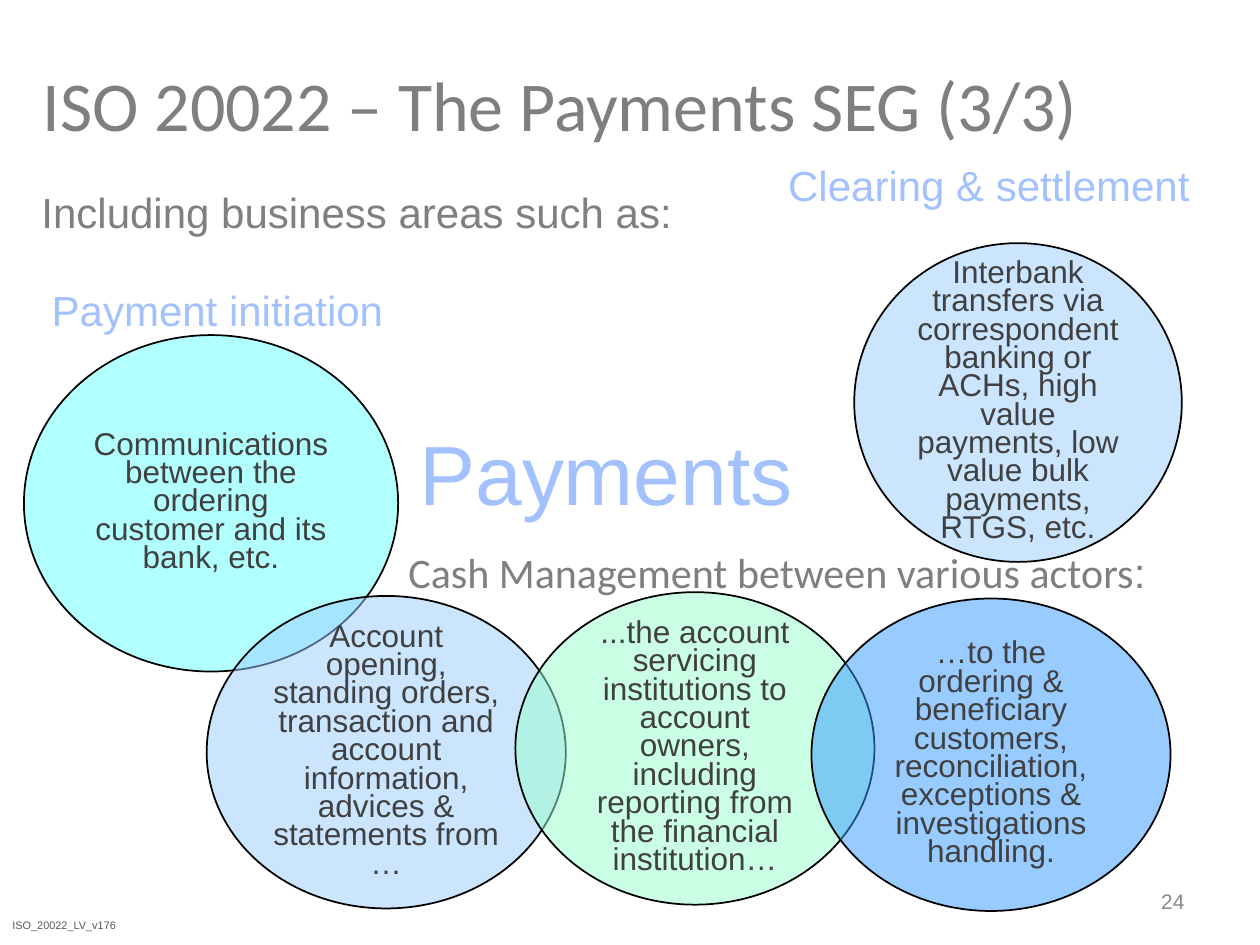
import pptx
import pptx.util
import pptx.dml.color
import pptx.enum.shapes
import pptx.enum.text
import pptx.oxml
import pptx.oxml.ns

WIDTH, HEIGHT = pptx.util.Inches(10), pptx.util.Inches(7.5)
COLUMN, ROW = WIDTH / 100, HEIGHT / 75
ALIGN = pptx.enum.text.PP_ALIGN
ANCHOR = pptx.enum.text.MSO_ANCHOR
COLORS = {
    "heading": "7F7F7F",
    "area": "A2C1FE",
    "detail": "404040",
    "footer": "595959",
    "number": "898989",
    "outline": "000000",
    "cyan": "66FFFF",
    "sky": "99CCFF",
    "mint": "99FFCC",
    "blue": "3399FF",
}


def rgb(name):
    """Return the named colour."""
    return pptx.dml.color.RGBColor.from_string(COLORS[name])


def cells(left, top, columns, rows):
    """Turn a grid area into left, top, width and height."""
    return (round(left * COLUMN), round(top * ROW),
            round(columns * COLUMN), round(rows * ROW))


def add_run(paragraph, text, size, color, font="Arial"):
    """Append one formatted run."""
    run = paragraph.add_run()
    run.text = text
    run.font.size = pptx.util.Pt(size)
    run.font.name = font
    run.font.color.rgb = rgb(color)


def set_title(slide, text, area):
    """Fill and place the title placeholder."""
    title = slide.shapes.title
    title.left, title.top, title.width, title.height = cells(*area)
    title.text_frame.vertical_anchor = ANCHOR.MIDDLE
    paragraph = title.text_frame.paragraphs[0]
    paragraph.alignment = ALIGN.CENTER
    add_run(paragraph, text, 40, "heading", "Calibri")


def add_label(slide, area, runs, size, color, align=ALIGN.RIGHT):
    """Add a one-line label that grows with its text."""
    frame = slide.shapes.add_textbox(*cells(*area)).text_frame
    frame.word_wrap = False
    frame.auto_size = pptx.enum.text.MSO_AUTO_SIZE.SHAPE_TO_FIT_TEXT
    paragraph = frame.paragraphs[0]
    paragraph.alignment = align
    for text, font in runs:
        add_run(paragraph, text, size, color, font)


def add_margin_note(slide, area, text, size, color, align, spacing=1.0):
    """Add a small wrapped note at the foot of the slide."""
    frame = slide.shapes.add_textbox(*cells(*area)).text_frame
    frame.word_wrap = True
    frame.vertical_anchor = ANCHOR.MIDDLE
    paragraph = frame.paragraphs[0]
    paragraph.alignment = align
    paragraph.line_spacing = spacing
    add_run(paragraph, text, size, color)


def add_bubble(slide, area, fill, text):
    """Add a half-transparent ellipse describing a business area."""
    bubble = slide.shapes.add_shape(
        pptx.enum.shapes.MSO_SHAPE.OVAL, *cells(*area))
    bubble.shadow.inherit = False
    bubble.fill.solid()
    bubble.fill.fore_color.rgb = rgb(fill)
    tint = bubble.fill._xPr.find(".//" + pptx.oxml.ns.qn("a:srgbClr"))
    alpha = pptx.oxml.parse_xml(
        f'<a:alpha {pptx.oxml.ns.nsdecls("a")} val="50000"/>')
    tint.append(alpha)
    bubble.line.color.rgb = rgb("outline")
    bubble.line.width = pptx.util.Pt(1)
    frame = bubble.text_frame
    frame.word_wrap = True
    frame.vertical_anchor = ANCHOR.MIDDLE
    paragraph = frame.paragraphs[0]
    paragraph.alignment = ALIGN.CENTER
    paragraph.line_spacing = 0.75
    add_run(paragraph, text, 18, "detail")


def main():
    """Build the Payments SEG slide."""
    deck = pptx.Presentation()
    deck.slide_width, deck.slide_height = WIDTH, HEIGHT
    slide = deck.slides.add_slide(deck.slide_layouts.get_by_name("Title Only"))

    set_title(slide, "ISO 20022 – The Payments SEG (3/3)",
              (1.1, 3.4, 86.7, 9.7))
    add_margin_note(slide, (0, 72.4, 49.6, 2.2), "ISO_20022_LV_v176",
                    6.2, "footer", ALIGN.LEFT, 0.8)
    add_label(slide, (32.3, 33, 32.5, 9), [("Payments", "Arial")],
              48, "area", ALIGN.LEFT)

    bubbles = [
        ((1.9, 26.6, 29.7, 26.7), "cyan",
         "Communications between the ordering customer and its bank, etc."),
        ((67.8, 19.3, 26, 25.3), "sky",
         "Interbank transfers via correspondent banking or ACHs, high value "
         "payments, low value bulk payments, RTGS, etc."),
        ((16.4, 47.3, 28.5, 24.8), "sky",
         "Account opening, standing orders, transaction and account "
         "information, advices & statements from …"),
        ((40.9, 47, 28.5, 24.8), "mint",
         "...the account servicing institutions to account owners, including "
         "reporting from the financial institution…"),
        ((64.4, 47.5, 28.5, 24.8), "blue",
         "…to the ordering & beneficiary customers, reconciliation, "
         "exceptions & investigations handling."),
    ]
    for area, fill, text in bubbles:
        add_bubble(slide, area, fill, text)

    labels = [
        ((1.8, 14.3, 52.5, 5), "heading",
         [("Including business areas such as:", "Arial")]),
        ((2.6, 22.1, 28.8, 5), "area", [("Payment initiation", "Arial")]),
        ((60.9, 12.2, 34.5, 5), "area", [("Clearing & settlement", "Arial")]),
        ((30.7, 42.9, 61.2, 5), "heading",
         [("Cash Management between various actors", "Calibri"),
          (":", "Arial")]),
    ]
    for area, color, runs in labels:
        add_label(slide, area, runs, 24, color)

    add_margin_note(slide, (71.7, 69.5, 23.3, 4), "24",
                    12, "number", ALIGN.RIGHT)
    deck.save("out.pptx")


if __name__ == "__main__":
    main()
